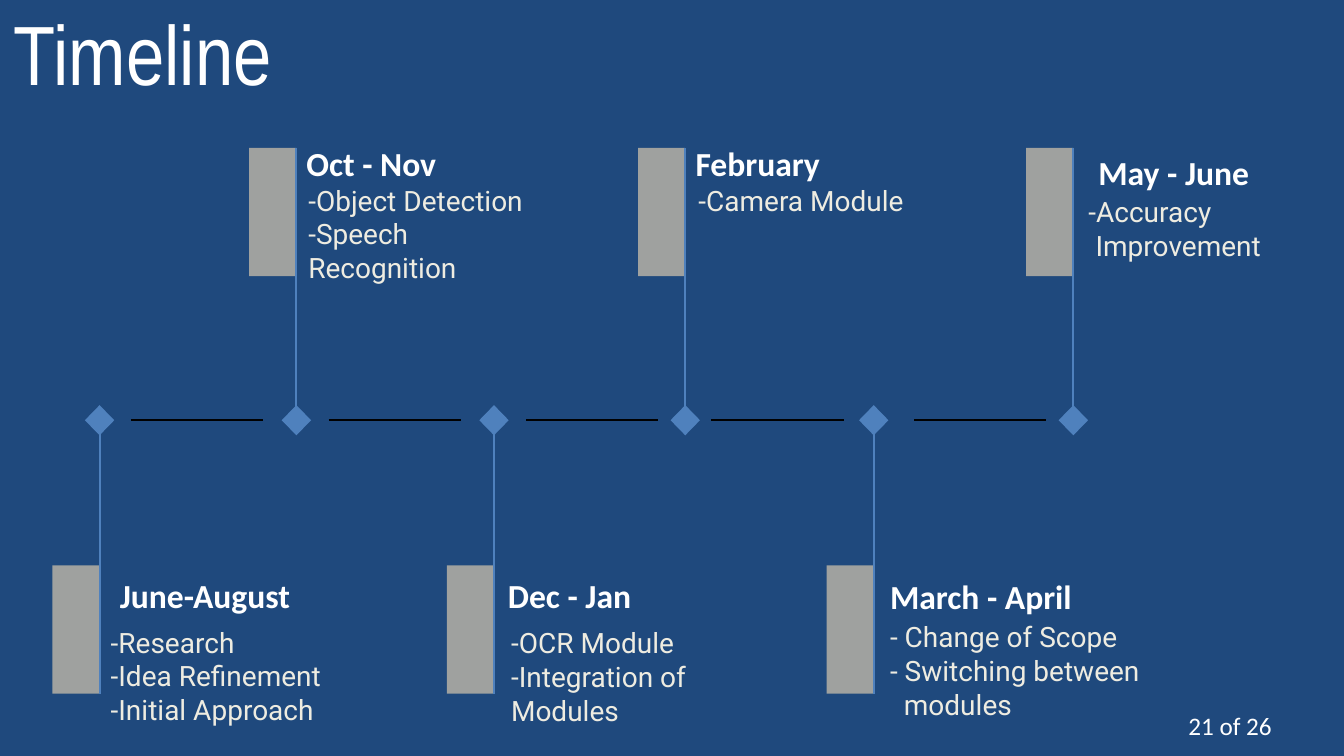
from dataclasses import dataclass

from lxml.etree import SubElement
from pptx import Presentation
from pptx.dml.color import RGBColor
from pptx.enum.shapes import MSO_CONNECTOR as Conn, MSO_SHAPE as Geo
from pptx.oxml.ns import qn
from pptx.util import Cm, Pt

COLORS = {
    "background": "1F497D",
    "accent": "4F81BD",
    "bar": "CFC3AC",
    "link": "000000",
    "heading": "FFFFFF",
    "body": "EEECE1",
}
AXIS_Y = 10.59
BAR_W, BAR_H = 1.19, 3.23
DIAMOND_W, DIAMOND_H = 0.74, 0.76
UPPER_TOP, LOWER_TOP = 3.73, 14.25
LINK_W = 3.33
LINK_STARTS = (3.3, 8.28, 13.26, 17.93, 23.04)


@dataclass(frozen=True)
class Box:
    left: float
    top: float
    width: float
    height: float


@dataclass(frozen=True)
class Milestone:
    x: float
    upper: bool
    heading: str
    heading_box: Box
    items: tuple[str, ...]
    items_box: Box
    last_indent: float = 0


MILESTONES = (
    Milestone(2.51, False, "June-August", Box(2.69, 14.15, 7.75, 1.45),
              ("-Research", "-Idea Refinement", "-Initial Approach"),
              Box(2.46, 15.42, 8.46, 2.2)),
    Milestone(7.47, True, "Oct - Nov", Box(7.39, 3.28, 7.04, 1.45),
              ("-Object Detection", "-Speech Recognition"),
              Box(7.44, 4.29, 6.93, 2.2)),
    Milestone(12.45, False, "Dec - Jan", Box(12.47, 14.15, 5.08, 1.45),
              ("-OCR Module", "-Integration of Modules"),
              Box(12.55, 15.44, 7.82, 2.2)),
    Milestone(17.27, True, "February", Box(17.2, 3.28, 5.13, 1.45),
              ("-Camera Module",), Box(17.27, 4.29, 6.25, 2.2)),
    Milestone(22.02, False, "March - April", Box(22.1, 14.17, 6.88, 1.45),
              ("- Change of Scope", "- Switching between", "modules"),
              Box(22.1, 15.29, 11.23, 2.2), 0.35),
    Milestone(27.05, True, "May - June", Box(27.35, 3.51, 6.4, 1.45),
              ("-Accuracy", "Improvement"),
              Box(27.1, 4.58, 6.7, 2.2), 0.18),
)


def rgb(name: str) -> RGBColor:
    return RGBColor.from_string(COLORS[name])


def add_text(slide, lines: tuple[str, ...], box: Box, *, font: str, size: int,
             color: str, bold: bool = False, pad: float = 0.33,
             last_indent: float = 0) -> None:
    sp = slide.shapes.add_textbox(Cm(box.left), Cm(box.top), Cm(box.width), Cm(box.height))
    tf = sp.text_frame
    tf.word_wrap = True
    tf.margin_left = tf.margin_right = tf.margin_top = tf.margin_bottom = Cm(pad)
    for i, line in enumerate(lines):
        p = tf.add_paragraph() if i else tf.paragraphs[0]
        r = p.add_run()
        r.text = line
        r.font.name, r.font.size, r.font.bold = font, Pt(size), bold
        r.font.color.rgb = rgb(color)
    if last_indent:
        p._p.get_or_add_pPr().set("marL", str(Cm(last_indent)))


def add_block(slide, geo: Geo, box: Box, color: str, alpha: int = 100) -> None:
    sp = slide.shapes.add_shape(geo, Cm(box.left), Cm(box.top), Cm(box.width), Cm(box.height))
    sp.shadow.inherit = False
    sp.fill.solid()
    sp.fill.fore_color.rgb = rgb(color)
    sp.line.fill.background()
    if alpha < 100:
        clr = sp._element.spPr.find(qn("a:solidFill")).find(qn("a:srgbClr"))
        SubElement(clr, qn("a:alpha")).set("val", str(alpha * 1000))


def add_line(slide, x1: float, y1: float, x2: float, y2: float, color: str) -> None:
    cxn = slide.shapes.add_connector(Conn.STRAIGHT, Cm(x1), Cm(y1), Cm(x2), Cm(y2))
    cxn.line.color.rgb = rgb(color)
    cxn.line.width = Pt(1.5)
    SubElement(cxn._element.spPr, qn("a:effectLst"))


def add_milestone(slide, m: Milestone) -> None:
    top = UPPER_TOP if m.upper else LOWER_TOP
    stem_end = top if m.upper else top + BAR_H
    add_block(slide, Geo.RECTANGLE, Box(m.x - BAR_W, top, BAR_W, BAR_H), "bar", alpha=73)
    add_line(slide, m.x, AXIS_Y, m.x, stem_end, "accent")
    diamond = Box(m.x - DIAMOND_W / 2, AXIS_Y - DIAMOND_H / 2, DIAMOND_W, DIAMOND_H)
    add_block(slide, Geo.DIAMOND, diamond, "accent")
    add_text(slide, m.items, m.items_box, font="Roboto", size=20, color="body",
             last_indent=m.last_indent)
    add_text(slide, (m.heading,), m.heading_box, font="Calibri", size=24,
             color="heading", bold=True)


def main() -> None:
    prs = Presentation()
    prs.slide_width, prs.slide_height = Cm(33.87), Cm(19.05)
    slide = prs.slides.add_slide(prs.slide_layouts[6])
    slide.background.fill.solid()
    slide.background.fill.fore_color.rgb = rgb("background")

    add_text(slide, ("Timeline",), Box(0, -0.28, 9.02, 3.18), font="Arial Narrow",
             size=60, color="heading")
    for start in LINK_STARTS:
        add_line(slide, start, AXIS_Y, start + LINK_W, AXIS_Y, "link")
    for milestone in MILESTONES:
        add_milestone(slide, milestone)
    add_text(slide, ("21 of 26",), Box(29.82, 17.78, 3.5, 1.02), font="Calibri",
             size=18, color="heading", pad=0.13)
    prs.save("out.pptx")


if __name__ == "__main__":
    main()
